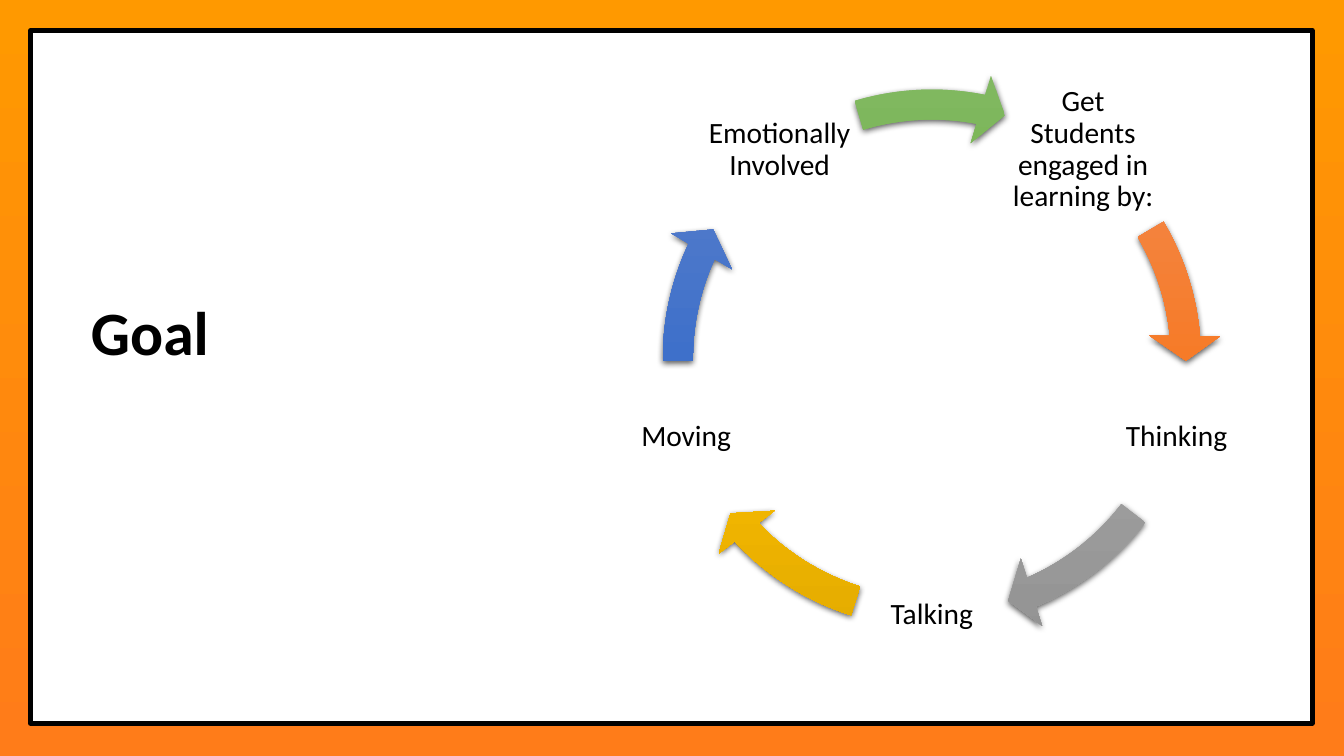
"""Build the Goal slide: a title beside a five-step cycle of curved arrows."""
from copy import deepcopy
from dataclasses import dataclass
from math import cos, radians, sin
from typing import Any

from lxml import etree
from pptx import Presentation
from pptx import util as u
from pptx.dml.color import RGBColor
from pptx.enum import shapes, text
from pptx.oxml import ns

PX = 9525


@dataclass(frozen=True)
class Theme:
    font: str = "Calibri"
    ink: str = "000000"
    panel: str = "FFFFFF"
    backdrop: tuple[str, ...] = ("FF9900", "FF7C19")
    title_size: int = 44
    label_size: int = 21
    border: int = 3


@dataclass(frozen=True)
class Box:
    left: int
    top: int
    width: int
    height: int

    def emu(self) -> tuple[int, ...]:
        return tuple(v * PX for v in (self.left, self.top, self.width, self.height))


@dataclass(frozen=True)
class Step:
    label: str
    colors: tuple[str, ...]
    arrow_end: float
    arrow_start: float


THEME = Theme()
PANEL = Box(29, 29, 1221, 660)
TITLE = Box(77, 60, 374, 520)
CENTER_X, CENTER_Y = 887, 341
RADIUS, RING, LABEL = 245, 551, 147
FIRST_ANGLE = -54
STEPS = [
    Step("Get Students engaged in learning by:", ("F18C57", "F67B28", "E56C19"), 212.94, 197.66),
    Step("Thinking", ("AFAFAF", "A5A5A5", "939393"), 40.15, 22.53),
    Step("Talking", ("FFC64B", "FFC000", "E3AB00"), 82.11, 64.49),
    Step("Moving", ("6183CB", "3E70CA", "3062BB"), 122.98, 107.71),
    Step("Emotionally Involved", ("81B861", "6FB242", "62A336"), 168.66, 151.98),
]


def set_all(target: Any, values: dict[str, Any]) -> None:
    for name, value in values.items():
        setattr(target, name, value)


def centered(x: float, y: float, size: int) -> Box:
    return Box(round(x - size / 2), round(y - size / 2), size, size)


def fill_gradient(fill: Any, root: Any, colors: tuple[str, ...]) -> None:
    fill.gradient()
    fill.gradient_angle = 270
    stop_list = next(root.iter(ns.qn("a:gsLst")))
    for _ in colors[2:]:
        stop_list.append(deepcopy(stop_list[-1]))
    for i, (stop, color) in enumerate(zip(fill.gradient_stops, colors)):
        stop.position = i / (len(colors) - 1)
        stop.color.rgb = RGBColor.from_string(color)


def add_shadow(shape: Any) -> None:
    shape.shadow.inherit = False
    effects = next(shape.element.iter(ns.qn("a:effectLst")))
    shadow = etree.SubElement(effects, ns.qn("a:outerShdw"), blurRad=str(u.Pt(4.5)),
                              dist=str(u.Pt(1.5)), dir="5400000", algn="ctr", rotWithShape="0")
    color = etree.SubElement(shadow, ns.qn("a:srgbClr"), val=THEME.ink)
    etree.SubElement(color, ns.qn("a:alpha"), val="63000")


def write(tf: Any, words: str, size: int, bold: bool, align: Any) -> None:
    set_all(tf, {"word_wrap": True, "auto_size": text.MSO_AUTO_SIZE.NONE,
                 "vertical_anchor": text.MSO_ANCHOR.MIDDLE})
    p = tf.paragraphs[0]
    set_all(p, {"alignment": align, "line_spacing": 0.9})
    r = p.add_run()
    r.text = words
    set_all(r.font, {"name": THEME.font, "size": u.Pt(size), "bold": bold})
    r.font.color.rgb = RGBColor.from_string(THEME.ink)


def add_panel(s: Any) -> None:
    panel = s.shapes.add_shape(shapes.MSO_SHAPE.RECTANGLE, *PANEL.emu())
    panel.shadow.inherit = False
    panel.fill.solid()
    panel.fill.fore_color.rgb = RGBColor.from_string(THEME.panel)
    panel.line.color.rgb = RGBColor.from_string(THEME.ink)
    panel.line.width = u.Pt(THEME.border)
    s.shapes.title.element.addprevious(panel.element)


def add_title(s: Any) -> None:
    title = s.shapes.title
    set_all(title, dict(zip(("left", "top", "width", "height"), TITLE.emu())))
    write(title.text_frame, "Goal", THEME.title_size, True, text.PP_ALIGN.LEFT)


def add_step(cycle: Any, step: Step, angle: float) -> None:
    x = CENTER_X + RADIUS * cos(radians(angle))
    y = CENTER_Y + RADIUS * sin(radians(angle))
    tf = cycle.shapes.add_textbox(*centered(x, y, LABEL).emu()).text_frame
    sides = ("left", "top", "right", "bottom")
    set_all(tf, {f"margin_{side}": 3 * PX for side in sides})
    write(tf, step.label, THEME.label_size, False, text.PP_ALIGN.CENTER)

    ring = centered(CENTER_X, CENTER_Y, RING)
    arrow = cycle.shapes.add_shape(shapes.MSO_SHAPE.CIRCULAR_ARROW, *ring.emu())
    for i, value in enumerate((0.052, 3.358, step.arrow_end, step.arrow_start, 0.061)):
        arrow.adjustments[i] = value
    fill_gradient(arrow.fill, arrow.element, step.colors)
    arrow.line.fill.background()
    add_shadow(arrow)


def main() -> None:
    prs = Presentation()
    set_all(prs, {"slide_width": 1280 * PX, "slide_height": 720 * PX})
    s = prs.slides.add_slide(prs.slide_layouts[5])
    fill_gradient(s.background.fill, s.element, THEME.backdrop)
    add_panel(s)
    add_title(s)
    cycle = s.shapes.add_group_shape()
    for i, step in enumerate(STEPS):
        add_step(cycle, step, FIRST_ANGLE + i * 360 / len(STEPS))
    prs.save("out.pptx")


if __name__ == "__main__":
    main()
